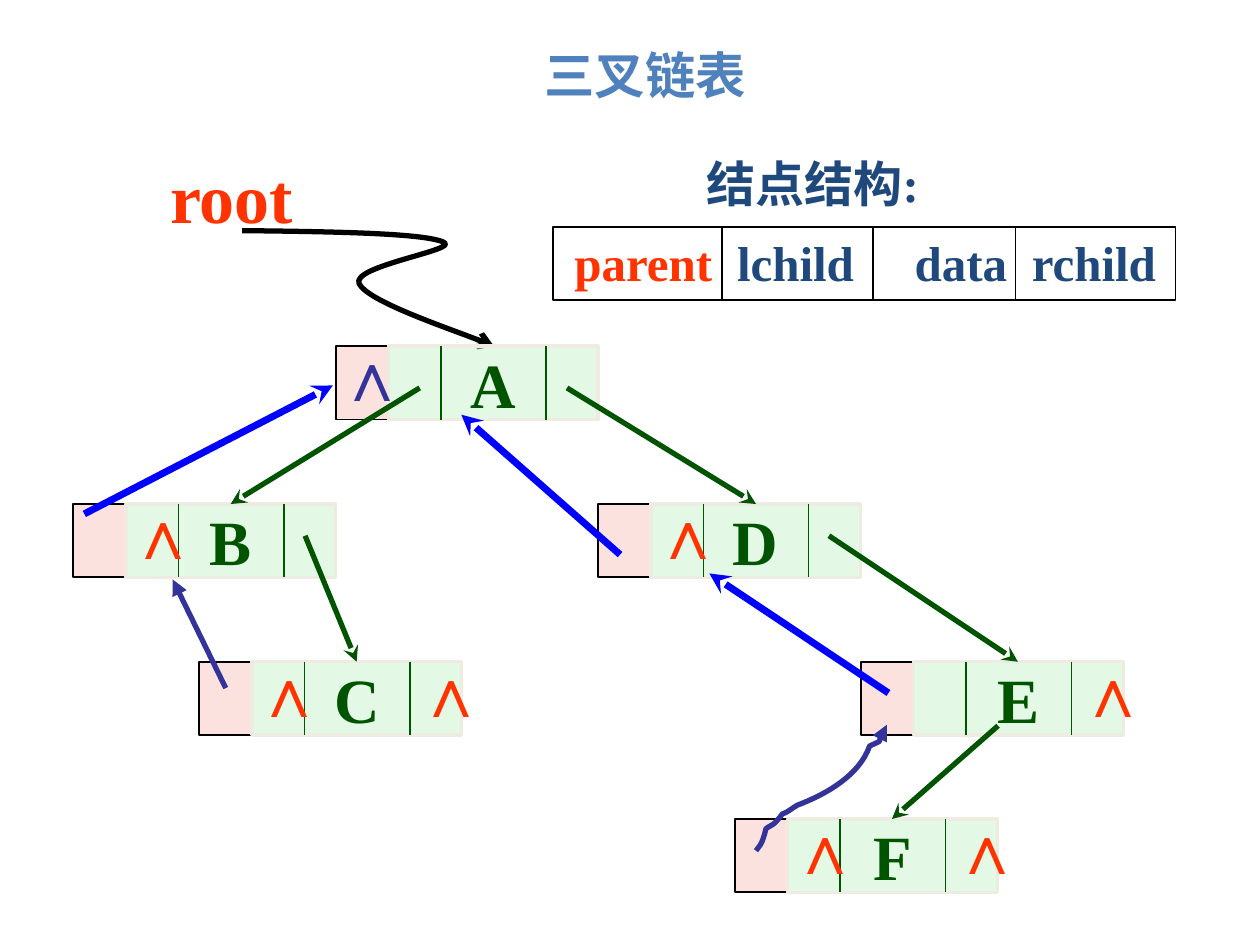
import pptx
import pptx.util
import pptx.dml.color
import pptx.enum.shapes
import pptx.enum.text
import pptx.oxml
import pptx.oxml.ns
import lxml.etree

Cm, Pt = pptx.util.Cm, pptx.util.Pt
RGB = pptx.dml.color.RGBColor.from_string
SHAPE = pptx.enum.shapes.MSO_SHAPE
ALIGN = pptx.enum.text.PP_ALIGN
ANCHOR = pptx.enum.text.MSO_ANCHOR
AUTO = pptx.enum.text.MSO_AUTO_SIZE
qn = pptx.oxml.ns.qn
SubElement = lxml.etree.SubElement

COLORS = {
    "title": "4F81BD", "navy": "1F497D", "red": "FF3300", "black": "000000",
    "pink": "FBE2DF", "mint": "CAF2CE", "border": "EEECE1", "green": "005400",
    "blue": "0000FF", "indigo": "333399",
}


def style_line(s, color, width, arrow=None):
    s.line.color.rgb = RGB(COLORS[color])
    s.line.width = Pt(width)
    spPr = s._element.spPr
    if spPr.find(qn("a:effectLst")) is None:
        SubElement(spPr, qn("a:effectLst"))
    if arrow:
        SubElement(spPr.find(qn("a:ln")), qn("a:tailEnd"), type=arrow)


def style_text(tf, size, *colors):
    for r, color in zip(tf.paragraphs[0].runs, colors):
        r.font.name = "Times New Roman"
        r.font.size = Pt(size)
        r.font.bold = True
        r.font.color.rgb = RGB(COLORS[color])


prs = pptx.Presentation()
prs.slide_width, prs.slide_height = Cm(25.4), Cm(19.05)
slide = prs.slides.add_slide(prs.slide_layouts[5])
shapes = slide.shapes

title = shapes.title
title.left, title.top, title.width, title.height = Cm(1.37), Cm(0.69), Cm(23.27), Cm(1.6)
tf = title.text_frame
tf.text = "三叉链表"
tf.auto_size = AUTO.NONE
tf.vertical_anchor = ANCHOR.MIDDLE
tf.paragraphs[0].alignment = ALIGN.CENTER
style_text(tf, 28.8, "title")

curves = [
    ("black", "arrow", [
        (4.88, 4.65), (6.71, 4.67), (8.53, 4.7), (8.94, 4.88), (9.32, 5.03),
        (7.06, 5.36), (7.24, 5.72), (7.42, 6.07), (9.5, 6.78), (9.96, 6.98)]),
    ("indigo", "triangle", [
        (15.24, 17.15), (15.32, 17.04), (15.34, 17.04), (15.39, 16.89),
        (15.42, 16.84), (15.42, 16.76), (15.44, 16.71), (15.49, 16.66),
        (15.57, 16.64), (15.62, 16.59), (15.67, 16.54), (15.72, 16.48),
        (15.77, 16.41), (15.88, 16.38), (15.98, 16.28), (16.08, 16.23),
        (16.61, 16.03), (17.32, 15.65), (17.53, 15.04), (17.81, 14.91),
        (17.65, 15.01), (17.88, 14.61)]),
]

nodes = {
    "A": (7.83, 6.98), "B": (2.54, 10.16), "D": (13.12, 10.16),
    "C": (5.08, 13.34), "E": (18.42, 13.34), "F": (15.88, 16.51),
}
CELL, NODE_W, NODE_H = 1.06, 4.23, 1.48
NULL_DX = {"parent": -1.28, "left": -0.2, "right": 3.07}
nulls = [("A", "parent"), ("B", "left"), ("D", "left"), ("C", "left"),
         ("C", "right"), ("E", "right"), ("F", "left"), ("F", "right")]

for name, (x, y) in nodes.items():
    sp = shapes.add_shape(SHAPE.RECTANGLE, Cm(x - CELL), Cm(y), Cm(CELL), Cm(NODE_H))
    sp.shadow.inherit = False
    sp.fill.solid()
    sp.fill.fore_color.rgb = RGB(COLORS["pink"])
    style_line(sp, "black", 1)

    if name == "A":
        root_link = len(shapes)
    sp = shapes.add_shape(SHAPE.RECTANGLE, Cm(x), Cm(y), Cm(NODE_W), Cm(NODE_H))
    sp.shadow.inherit = False
    sp.fill.solid()
    sp.fill.fore_color.rgb = RGB(COLORS["mint"])
    SubElement(sp._element.spPr.find(".//" + qn("a:srgbClr")), qn("a:alpha"), val="50000")
    style_line(sp, "border", 2)
    tf = sp.text_frame
    tf.text = name
    tf.word_wrap = False
    tf.vertical_anchor = ANCHOR.MIDDLE
    tf.paragraphs[0].alignment = ALIGN.CENTER
    style_text(tf, 36, "green")

    for dx in (CELL, 3 * CELL):
        divider = shapes.add_connector(1, Cm(x + dx), Cm(y), Cm(x + dx), Cm(y + NODE_H))
        style_line(divider, "green", 1)

labels = [("root", 3.18, 2.97, 3.02, 1.95, 40, "red"),
          ("结点结构:", 14, 2.97, 4.83, 1.45, 28, "navy")]
for name, slot in nulls:
    x, y = nodes[name]
    color = "indigo" if slot == "parent" else "red"
    labels.append(("∧", x + NULL_DX[slot], y - 0.42, 1.37, 1.95, 40, color))
for text, x, y, w, h, size, color in labels:
    tf = shapes.add_textbox(Cm(x), Cm(y), Cm(w), Cm(h)).text_frame
    tf.text = text
    tf.word_wrap = False
    tf.auto_size = AUTO.SHAPE_TO_FIT_TEXT
    style_text(tf, size, color)

FIELD_X, FIELD_Y, FIELD_W, FIELD_H = 11.15, 4.57, 12.55, 1.48
tf = shapes.add_textbox(Cm(11.33), Cm(FIELD_Y), Cm(12.37), Cm(1.45)).text_frame
tf.word_wrap = True
p = tf.paragraphs[0]
for text in ("parent", "\tlchild\tdata\trchild"):
    r = p.add_run()
    r.text = text
style_text(tf, 28, "red", "navy")
tabs = SubElement(p._p.get_or_add_pPr(), qn("a:tabLst"))
for pos in (3.28, 6.86, 9.22):
    SubElement(tabs, qn("a:tab"), pos=str(int(Cm(pos))), algn="l")
frame = shapes.add_shape(SHAPE.RECTANGLE, Cm(FIELD_X), Cm(FIELD_Y), Cm(FIELD_W), Cm(FIELD_H))
frame.shadow.inherit = False
frame.fill.background()
style_line(frame, "black", 1)
for x in (14.55, 17.6, 20.47):
    divider = shapes.add_connector(1, Cm(x), Cm(FIELD_Y), Cm(x), Cm(FIELD_Y + FIELD_H))
    style_line(divider, "black", 1)

links = [
    ("green", 3, "stealth", [
        (11.43, 7.82, 15.24, 10.16), (6.15, 10.8, 7.19, 13.34),
        (16.71, 10.8, 20.52, 13.34), (20.12, 14.63, 17.98, 16.51),
        (8.46, 7.82, 4.65, 10.16)]),
    ("indigo", 3, "triangle", [(4.55, 13.87, 3.48, 11.68)]),
    ("blue", 4, "stealth", [
        (1.7, 10.36, 6.71, 7.77), (12.5, 11.18, 9.3, 8.36),
        (17.91, 13.97, 14.3, 11.56)]),
]
for color, width, arrow, ends in links:
    for end in ends:
        link = shapes.add_connector(1, *map(Cm, end))
        style_line(link, color, width, arrow)

for color, arrow, points in curves:
    points = [(Cm(x), Cm(y)) for x, y in points]
    builder = shapes.build_freeform(*points[0])
    builder.add_line_segments(points[1:], close=False)
    sp = builder.convert_to_shape()
    sp.shadow.inherit = False
    sp.fill.background()
    style_line(sp, color, 3, arrow)
    path_el = sp._element.find(".//" + qn("a:path"))
    segments = path_el.findall(qn("a:lnTo"))
    for i in range(0, len(segments), 3):
        bezier = SubElement(path_el, qn("a:cubicBezTo"))
        for segment in segments[i:i + 3]:
            bezier.append(segment[0])
            path_el.remove(segment)
    if color == "black":
        shapes._spTree.insert(root_link, sp._element)

prs.save("out.pptx")
